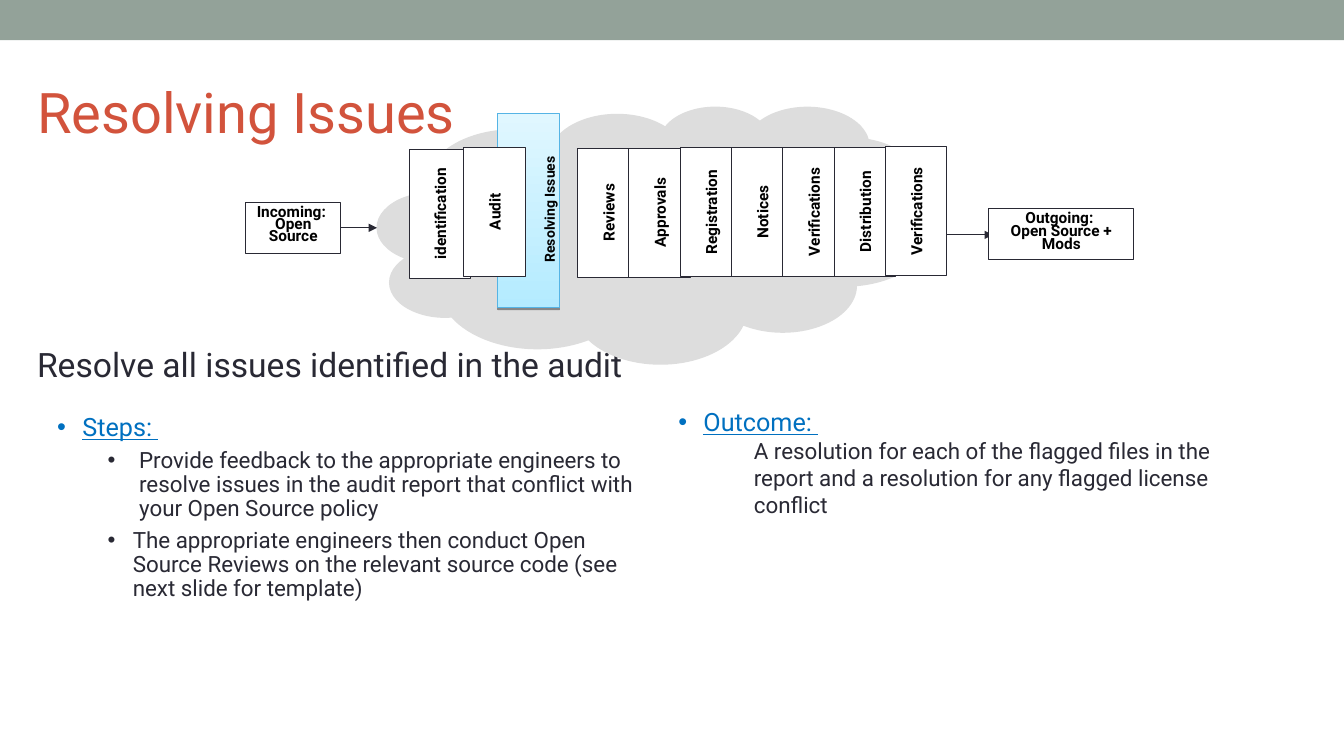
from lxml import etree
from pptx import Presentation
from pptx.dml.color import RGBColor
from pptx.enum.shapes import MSO_CONNECTOR, MSO_SHAPE
from pptx.enum.text import MSO_ANCHOR, MSO_AUTO_SIZE, PP_ALIGN
from pptx.oxml.ns import qn
from pptx.util import Pt

RECT = MSO_SHAPE.RECTANGLE
CLOUD = MSO_SHAPE.CLOUD
LINE = MSO_CONNECTOR.STRAIGHT
TOP = MSO_ANCHOR.TOP
MIDDLE = MSO_ANCHOR.MIDDLE
LEFT = PP_ALIGN.LEFT
CENTER = PP_ALIGN.CENTER
FIXED = MSO_AUTO_SIZE.NONE

FONT = "Roboto"
INK = "292934"
BLACK = "000000"
WHITE = "FFFFFF"
BLUE = "0070C0"

STAGES = ["Reviews", "Approvals", "Registration", "Notices",
          "Verifications", "Distribution", "Verifications"]


def color(code):
    return RGBColor.from_string(code)


def node(parent, tag, **attrs):
    return etree.SubElement(parent, qn(tag), **attrs)


def setup(shape, anchor=TOP):
    frame = shape.text_frame
    frame.word_wrap = True
    frame.auto_size = FIXED
    frame.vertical_anchor = anchor
    frame.margin_left = frame.margin_right = Pt(7.2)
    frame.margin_top = frame.margin_bottom = Pt(3.6)
    return frame


def write(par, text, size, ink, bold=False, under=False):
    run = par.add_run()
    run.text = text
    font = run.font
    font.name, font.size = FONT, Pt(size)
    font.bold, font.underline = bold, under
    font.color.rgb = color(ink)


def indent(par, left, hang, tint=None):
    props = par._p.get_or_add_pPr()
    props.set("marL", str(Pt(left)))
    props.set("indent", str(-Pt(hang)))
    if tint:
        node(node(props, "a:buClr"), "a:srgbClr", val=tint)
        node(props, "a:buFont", typeface="Arial")
        node(props, "a:buChar", char="•")


def block(slide, kind, box, fill, edge=None):
    shape = slide.shapes.add_shape(kind, *map(Pt, box))
    shape.shadow.inherit = False
    if fill:
        shape.fill.solid()
        shape.fill.fore_color.rgb = color(fill)
    if edge:
        shape.line.color.rgb = color(edge)
        shape.line.width = Pt(0.75)
    else:
        shape.line.fill.background()
    return shape


def label(shape, lines, size=11, space=None, anchor=MIDDLE):
    frame = setup(shape, anchor)
    for i, text in enumerate(lines):
        par = frame.add_paragraph() if i else frame.paragraphs[0]
        par.alignment = CENTER
        if space:
            par.line_spacing = space
        write(par, text, size, BLACK, bold=True)


def turned(box):
    left, top, width, height = box
    return (left + (width - height) / 2, top + (height - width) / 2,
            height, width)


def stage(slide, box, text):
    shape = block(slide, RECT, turned(box), WHITE, INK)
    shape.rotation = 270
    label(shape, [text])


def arrow(slide, start, end, y):
    link = slide.shapes.add_connector(LINE, Pt(start), Pt(y), Pt(end), Pt(y))
    link.line.color.rgb = color(INK)
    link.line.width = Pt(0.75)
    node(link.line._get_or_add_ln(), "a:tailEnd", type="triangle")
    node(link._element.spPr, "a:effectLst")


def focus(slide, box):
    left, top, width, height = box
    bar = block(slide, RECT, box, None, "55B4E5")
    bar.fill.gradient()
    bar.fill.gradient_angle = 270
    for stop, tint in zip(bar.fill.gradient_stops, ["E0F7FF", "B4EBFF"]):
        stop.color.rgb = color(tint)
    glow = node(bar._element.spPr.find(qn("a:effectLst")), "a:outerShdw",
                dist=str(Pt(1.6)), dir="5400000", rotWithShape="0")
    node(node(glow, "a:srgbClr", val=BLACK), "a:alpha", val="38000")
    area = turned((left + 14.7, top - 1, width, height))
    note = slide.shapes.add_textbox(*map(Pt, area))
    note.rotation = 270
    label(note, ["Resolving Issues"], 10)


def process(slide, box):
    left, top, width, height = box
    block(slide, CLOUD, box, "DDDDDD")
    mid = top + 92.2
    arrow(slide, left + width, left + width + 43.9, mid)
    focus(slide, (left + 86.4, top + 5.8, 43.9, 138.2))
    stage(slide, (left + 23, top + 31, 43.9, 92.2), "identification")
    stage(slide, (left + 61.9, top + 29.5, 43.9, 92.2), "Audit")
    for i, text in enumerate(STAGES):
        spot = (left + 143.3 + 36.65 * i, top + 30.3 - 0.17 * i, 43.9, 92.2)
        stage(slide, spot, text)
    source = block(slide, RECT, (left - 93.6, top + 69.1, 67.7, 36.7),
                   WHITE, INK)
    label(source, ["Incoming: ", "Open Source"], space=0.65, anchor=TOP)
    arrow(slide, left - 25.9, left, top + 87.1)
    target = block(slide, RECT, (left + 437, top + 73.4, 103.7, 36.7),
                   WHITE, INK)
    label(target, ["Outgoing: ", "Open Source + Mods"], space=0.7, anchor=TOP)


def title(slide, box):
    shape = slide.shapes.title
    shape.left, shape.top, shape.width, shape.height = map(Pt, box)
    par = setup(shape, MIDDLE).paragraphs[0]
    par.alignment = LEFT
    write(par, "Resolving Issues", 40, "D2533C")


def heading(slide, box):
    frame = setup(slide.shapes.add_textbox(*map(Pt, box)))
    write(frame.paragraphs[0], "Resolve all issues identified in the audit",
          24, INK)


def column(slide, box, head, items):
    frame = setup(slide.shapes.add_textbox(*map(Pt, box)))
    par = frame.paragraphs[0]
    par.line_spacing = 0.9
    indent(par, 18, 18, BLUE)
    write(par, head, 18, BLUE, under=True)
    for text, left, hang in items:
        par = frame.add_paragraph()
        if hang:
            par.line_spacing = 0.9
            par.space_before = Pt(5)
        indent(par, left, hang, INK if hang else None)
        write(par, text, 16, INK)


def main():
    deck = Presentation()
    deck.slide_width, deck.slide_height = Pt(960), Pt(540)
    slide = deck.slides.add_slide(deck.slide_layouts[5])
    block(slide, RECT, (0, 0, 960, 28.8), "93A299")
    column(slide, (477.4, 289.4, 433.4, 181.4), "Outcome: ", [
        ("A resolution for each of the flagged files in the report and a "
         "resolution for any flagged license conflict", 54, 0)])
    column(slide, (33.8, 293, 435.6, 205.9), "Steps: ", [
        ("Provide feedback to the appropriate engineers to resolve issues in "
         "the audit report that conflict with your Open Source policy",
         58.5, 22.5),
        ("The appropriate engineers then conduct Open Source Reviews on the "
         "relevant source code (see next slide for template)", 54, 18)])
    heading(slide, (19.4, 241.9, 570.2, 36))
    title(slide, (19.4, 40.3, 864, 77.8))
    process(slide, (269.3, 75.6, 396, 184.3))
    deck.save("out.pptx")


if __name__ == "__main__":
    main()
